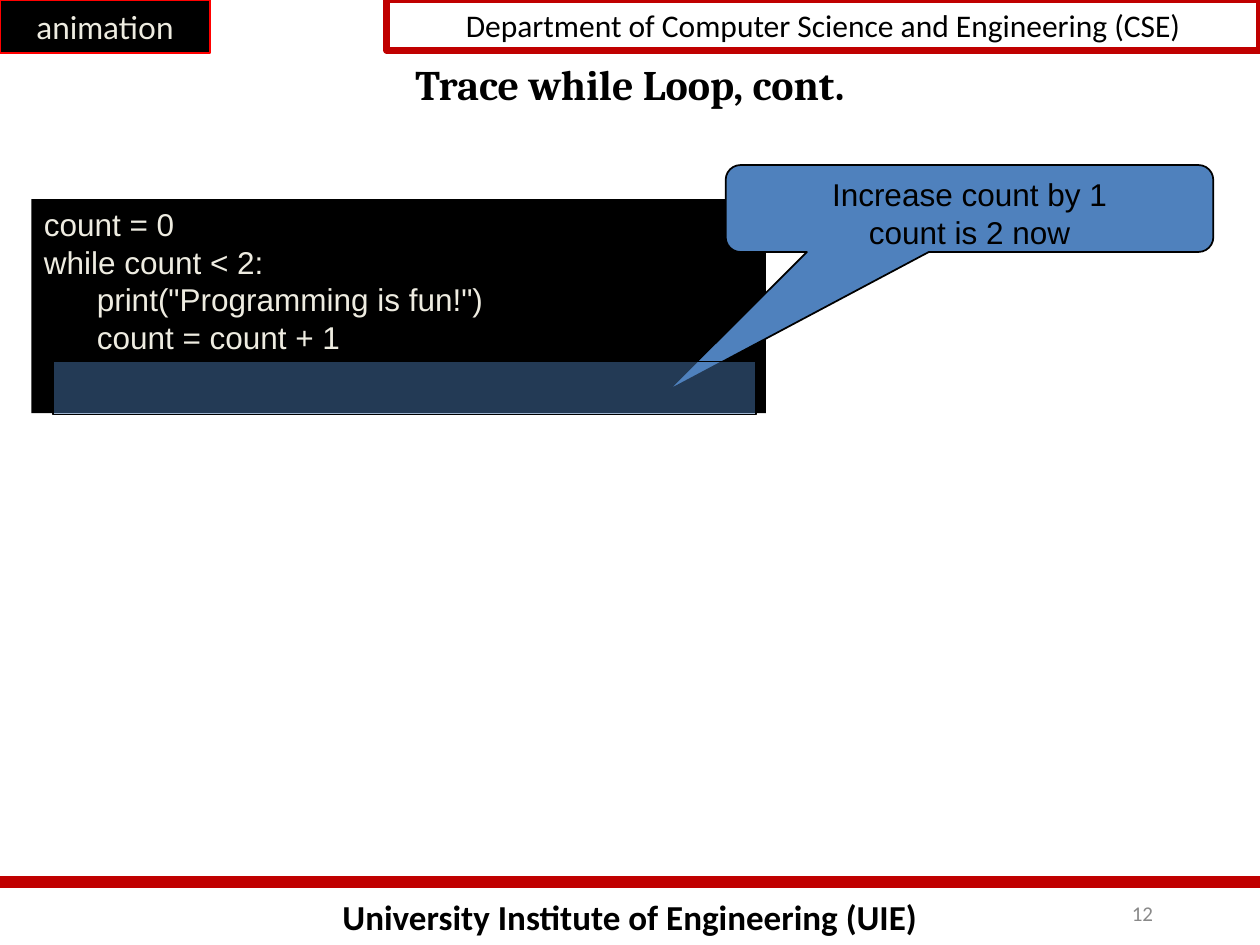
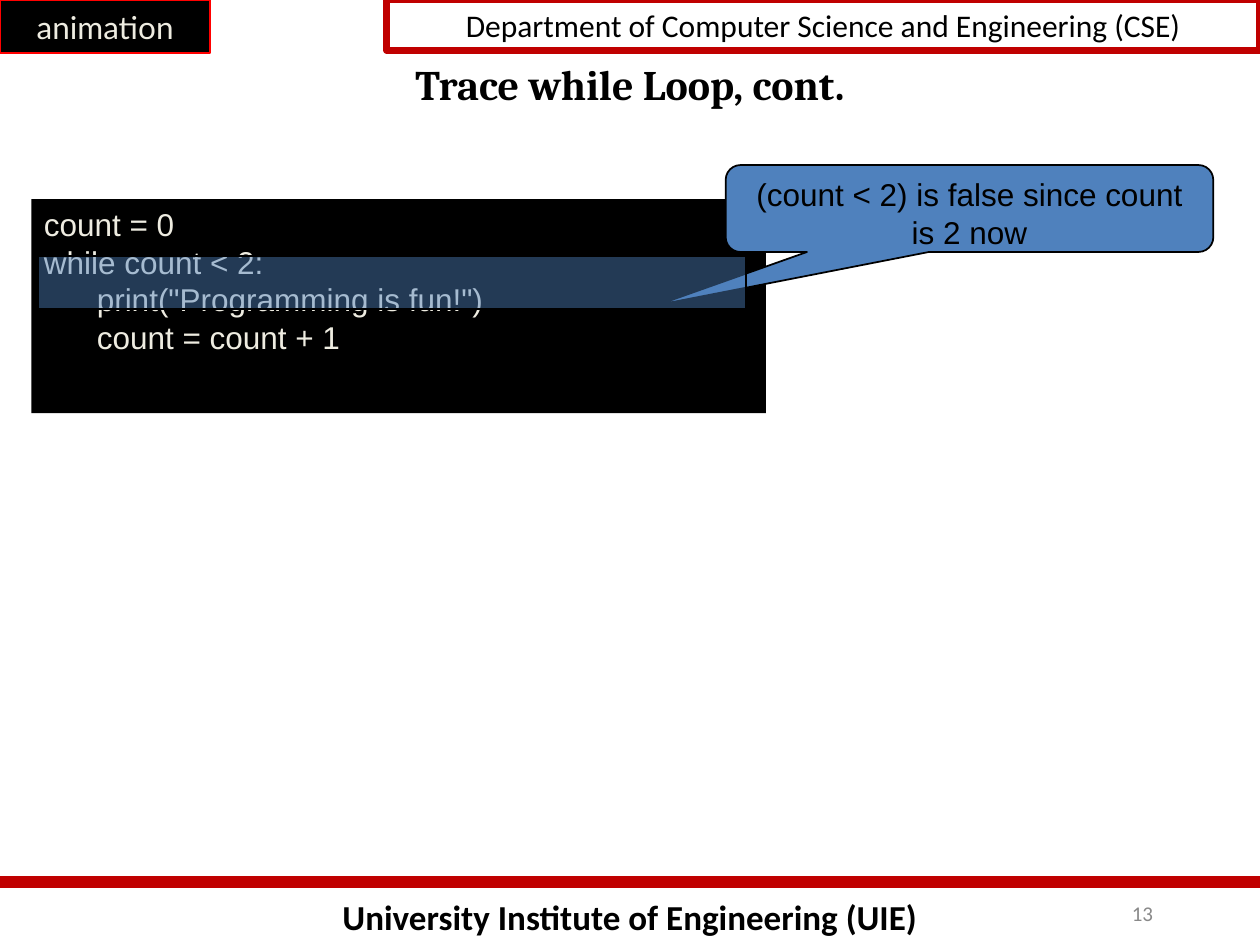
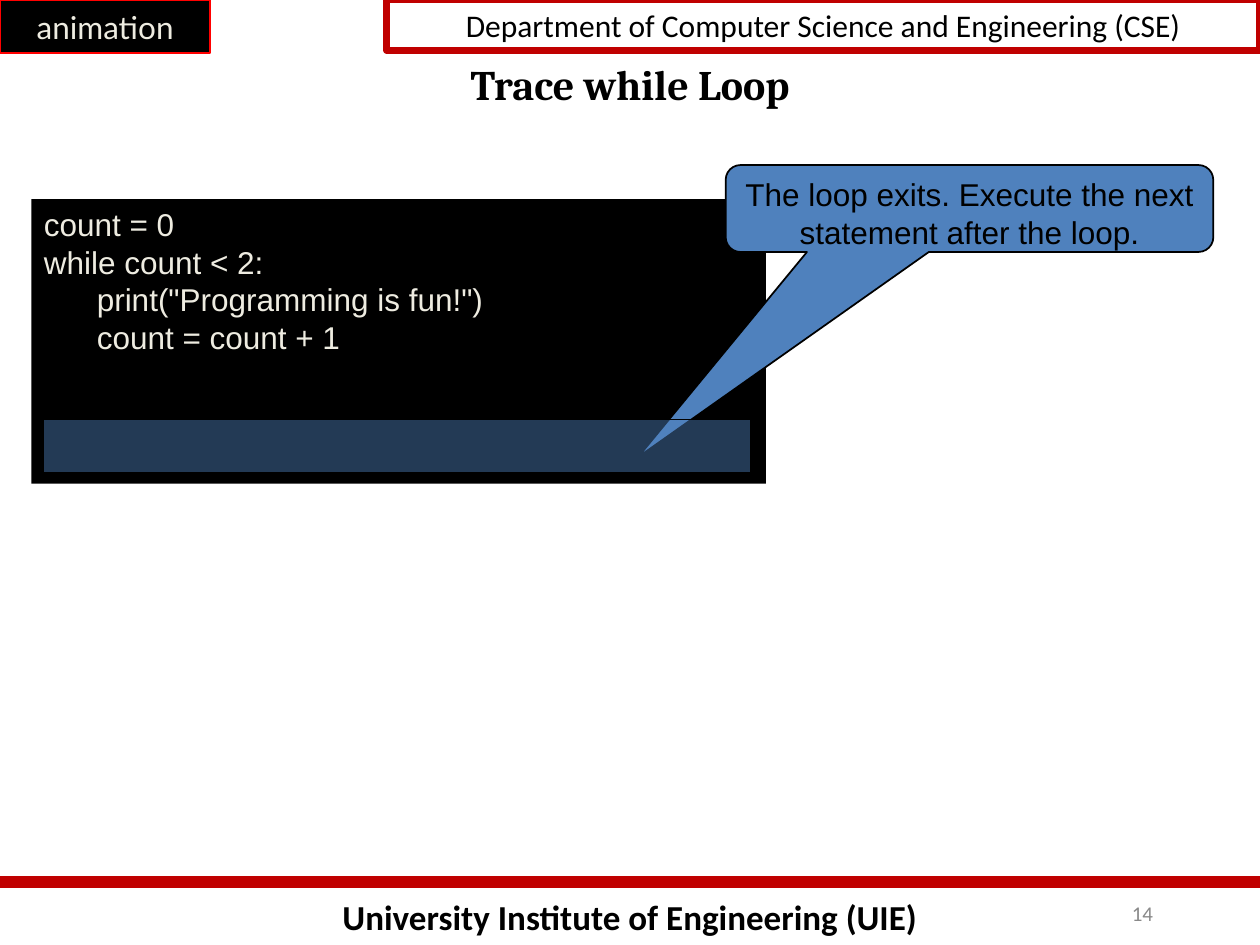
from pptx import Presentation
from pptx import util as u
from pptx.dml.color import RGBColor
from pptx.enum import shapes, text
from pptx.oxml.ns import qn
from lxml import etree

COLORS = {"ink": "000000", "crimson": "C00000", "red": "FF0000",
          "blue": "4F81BD", "cream": "EEECE1", "gray": "898989"}
CODE_LINES = [(0, "count = 0"), (0, "while count < 2:"),
              (1, 'print("Programming is fun!")'), (1, "count = count + 1")]
CODE_INDENT = u.Inches(0.42)
LINE_PITCH = u.Pt(21.5)
LEFT, CENTER, RIGHT = (text.PP_ALIGN.LEFT, text.PP_ALIGN.CENTER,
                       text.PP_ALIGN.RIGHT)
TOP, MIDDLE = text.MSO_ANCHOR.TOP, text.MSO_ANCHOR.MIDDLE


def color(name):
    return RGBColor.from_string(COLORS[name])


def inches(box):
    return [u.Inches(value) for value in box]


class Deck:
    """Holds the presentation, its style and the current slide."""

    def __init__(self):
        self.prs = Presentation()
        self.prs.slide_width, self.prs.slide_height = inches((10, 7.5))
        self.slide = None

    def add_lines(self, frame, lines, font, size, ink, align=CENTER,
                  anchor=TOP, bold=False, wrap=True, pitch=None):
        """Add (level, words) lines, one paragraph each."""
        frame.word_wrap = wrap
        frame.auto_size = text.MSO_AUTO_SIZE.NONE
        frame.vertical_anchor = anchor
        for i, (level, words) in enumerate(lines):
            para = frame.add_paragraph() if i else frame.paragraphs[0]
            para.alignment = align
            if pitch:
                para.line_spacing = pitch
            if level:
                para._p.get_or_add_pPr().set("marL", str(level * CODE_INDENT))
            run = para.add_run()
            run.text = words
            run.font.name, run.font.size = font, u.Pt(size)
            run.font.bold = bold
            run.font.color.rgb = color(ink)

    def title(self, words):
        layout = self.prs.slide_layouts[5]
        self.slide = self.prs.slides.add_slide(layout)
        heading = self.slide.shapes.title
        heading.left, heading.top, heading.width, heading.height = inches(
            (0.75, 0.25, 8.5, 0.83))
        self.add_lines(heading.text_frame, [(0, words)], "Cambria", 24, "ink",
                       anchor=MIDDLE, bold=True)

    def label(self, box, words, size, ink, **style):
        frame = self.slide.shapes.add_textbox(*inches(box)).text_frame
        self.add_lines(frame, [(0, words)], "Calibri", size, ink, **style)

    def shape(self, box, fill=None, line=None, weight=1, alpha=None,
              kind=shapes.MSO_SHAPE.RECTANGLE):
        item = self.slide.shapes.add_shape(kind, *inches(box))
        item.shadow.inherit = False
        if fill:
            item.fill.solid()
            item.fill.fore_color.rgb = color(fill)
        else:
            item.fill.background()
        if alpha:
            srgb = item._element.spPr.find(".//" + qn("a:srgbClr"))
            etree.SubElement(srgb, qn("a:alpha")).set("val", str(alpha * 1000))
        if line:
            item.line.color.rgb = color(line)
            item.line.width = u.Pt(weight)
        else:
            item.line.fill.background()
        return item

    def rule(self, start, end, ink, weight):
        rule = self.slide.shapes.add_connector(
            shapes.MSO_CONNECTOR.STRAIGHT, *inches(start + end))
        rule.line.color.rgb = color(ink)
        rule.line.width = u.Pt(weight)
        etree.SubElement(rule._element.spPr, qn("a:effectLst"))

    def bands(self, number):
        """Department header, institute footer and page number."""
        self.label((0, 7.06, 10, 0.44),
                   "University Institute of Engineering (UIE)", 20, "ink",
                   bold=True)
        self.rule((0, 7), (10, 7), "crimson", 7)
        department = self.shape((3.07, 0, 6.93, 0.4), line="crimson", weight=4)
        self.add_lines(
            department.text_frame,
            [(0, "Department of Computer Science and Engineering (CSE)")],
            "Calibri", 18, "ink")
        self.label((7.17, 7, 2.08, 0.5), str(number), 12, "gray",
                   align=RIGHT, anchor=MIDDLE)

    def code(self, height):
        listing = self.shape((0.25, 1.58, 5.83, height), "ink")
        self.add_lines(listing.text_frame, CODE_LINES, "Arial", 18, "cream",
                       align=LEFT, pitch=LINE_PITCH)

    def callout(self, lines, tip):
        bubble = self.shape((5.76, 1.31, 3.87, 0.69), "blue", "ink",
                            kind=shapes.MSO_SHAPE.ROUNDED_RECTANGULAR_CALLOUT)
        for i, value in enumerate((*tip, 0.17)):
            bubble.adjustments[i] = value
        self.add_lines(bubble.text_frame, [(0, words) for words in lines],
                       "Arial", 18, "ink", pitch=LINE_PITCH)

    def highlight(self, left, top, width):
        self.shape((left, top, width, 0.42), "blue", "ink", alpha=45)

    def animation_tag(self):
        tag = self.shape((0, 0, 1.67, 0.42), "ink", "red")
        self.add_lines(tag.text_frame, [(0, "animation")], "Lato", 18, "cream",
                       anchor=MIDDLE, wrap=False)


# Each step: title, code height, callout lines, callout tip, highlight
STEPS = [
    ("Trace while Loop, cont.", 1.7,
     ["Increase count by 1", "count is 2 now"],
     (-0.62, 2.1), (0.42, 2.87, 5.58)),
    ("Trace while Loop, cont.", 1.7,
     ["(count < 2) is false since count is 2 now"],
     (-0.64, 1.11), (0.3, 2.03, 5.62)),
    ("Trace while Loop", 2.26,
     ["The loop exits. Execute the next statement after the loop."],
     (-0.68, 2.86), (0.34, 3.33, 5.62)),
]


def main():
    deck = Deck()
    for number, (heading, height, lines, tip, mark) in enumerate(STEPS, 12):
        deck.title(heading)
        deck.bands(number)
        deck.code(height)
        deck.callout(lines, tip)
        deck.highlight(*mark)
        deck.animation_tag()
    deck.prs.save("out.pptx")


if __name__ == "__main__":
    main()
